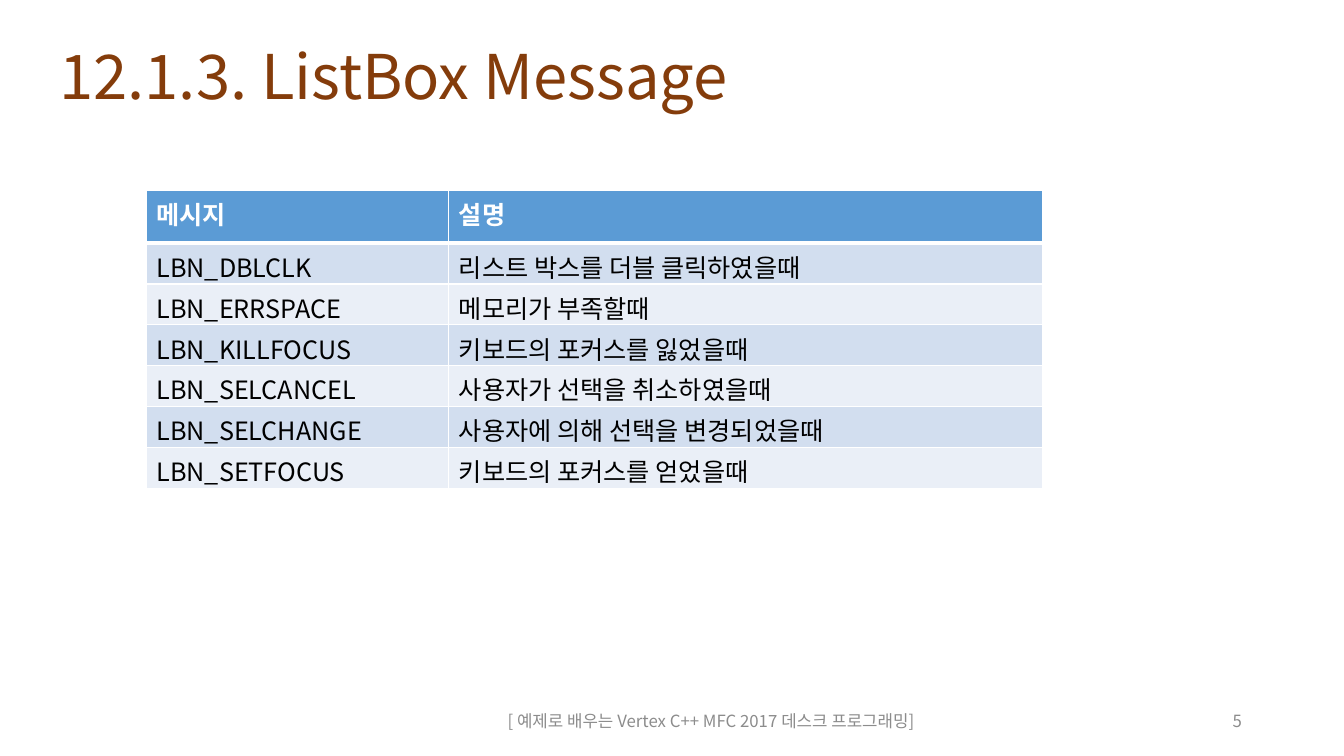
from lxml import etree
from pptx import Presentation
from pptx.dml.color import RGBColor
from pptx.enum import text
from pptx.oxml import ns
from pptx.util import Pt

# Content
FONT = "Noto Sans CJK KR"
TITLE = "12.1.3. ListBox Message"
FOOTER = "[ 예제로 배우는 Vertex C++ MFC 2017 데스크 프로그래밍]"
PAGE = "5"
MESSAGES = [
    ("메시지", "설명"),
    ("LBN_DBLCLK", "리스트 박스를 더블 클릭하였을때"),
    ("LBN_ERRSPACE", "메모리가 부족할때"),
    ("LBN_KILLFOCUS", "키보드의 포커스를 잃었을때"),
    ("LBN_SELCANCEL", "사용자가 선택을 취소하였을때"),
    ("LBN_SELCHANGE", "사용자에 의해 선택을 변경되었을때"),
    ("LBN_SETFOCUS", "키보드의 포커스를 얻었을때"),
]
COLUMNS = (216, 424)
HEADER_H, ROW_H = 37.4, 29.2
HEADER_FILL, BANDS = "5B9BD5", ("D2DEEF", "EAEFF7")
ALIGN = text.PP_ALIGN


def rgb(value):
    return RGBColor.from_string(value)


def write(tf, words, size, color, bold=False, align=ALIGN.LEFT):
    p = tf.paragraphs[0]
    p.text = words
    p.alignment = align
    f = p.font
    f.name, f.size, f.bold = FONT, Pt(size), bold
    f.color.rgb = rgb(color)
    # East Asian glyphs need their own typeface entry
    latin = p._p.find(".//" + ns.qn("a:latin"))
    ea = etree.Element(ns.qn("a:ea"), typeface=FONT)
    latin.addnext(ea)
    return p


def add_text(box, words, size, color, align=ALIGN.LEFT):
    tf = s.shapes.add_textbox(*map(Pt, box)).text_frame
    tf.word_wrap = True
    tf.vertical_anchor = text.MSO_ANCHOR.MIDDLE
    return write(tf, words, size, color, align=align)


def add_borders(cell, top, bottom):
    tcPr = cell._tc.get_or_add_tcPr()
    widths = (("lnL", 1), ("lnR", 1), ("lnT", top), ("lnB", bottom))
    for i, (side, width) in enumerate(widths):
        ln = etree.Element(ns.qn("a:" + side), w=str(Pt(width)))
        fill = etree.SubElement(ln, ns.qn("a:solidFill"))
        etree.SubElement(fill, ns.qn("a:srgbClr"), val="FFFFFF")
        tcPr.insert(i, ln)


prs = Presentation()
prs.slide_width, prs.slide_height = Pt(960), Pt(540)
s = prs.slides.add_slide(prs.slide_layouts[6])

# Title and footer
add_text((35.3, 27.4, 676.8, 58.3), TITLE, 44, "843C0B").line_spacing = 0.9
add_text((318.2, 500.4, 379.4, 28.8), FOOTER, 12, "8C8C8C", ALIGN.CENTER)
add_text((678.2, 500.4, 216, 28.8), PAGE, 12, "8C8C8C", ALIGN.RIGHT)

# Message table
heights = [HEADER_H] + [ROW_H] * (len(MESSAGES) - 1)
table = s.shapes.add_table(len(MESSAGES), len(COLUMNS), Pt(104.6), Pt(136.2),
                           Pt(sum(COLUMNS)), Pt(sum(heights))).table
for column, width in zip(table.columns, COLUMNS):
    column.width = Pt(width)
for i, (row, height, words) in enumerate(zip(table.rows, heights, MESSAGES)):
    row.height = Pt(height)
    header = i == 0
    for cell, word in zip(row.cells, words):
        cell.fill.solid()
        cell.fill.fore_color.rgb = rgb(HEADER_FILL if header else BANDS[(i - 1) % 2])
        write(cell.text_frame, word, 18, "FFFFFF" if header else "000000", header)
        add_borders(cell, 3 if i == 1 else 1, 3 if header else 1)

prs.save("out.pptx")
